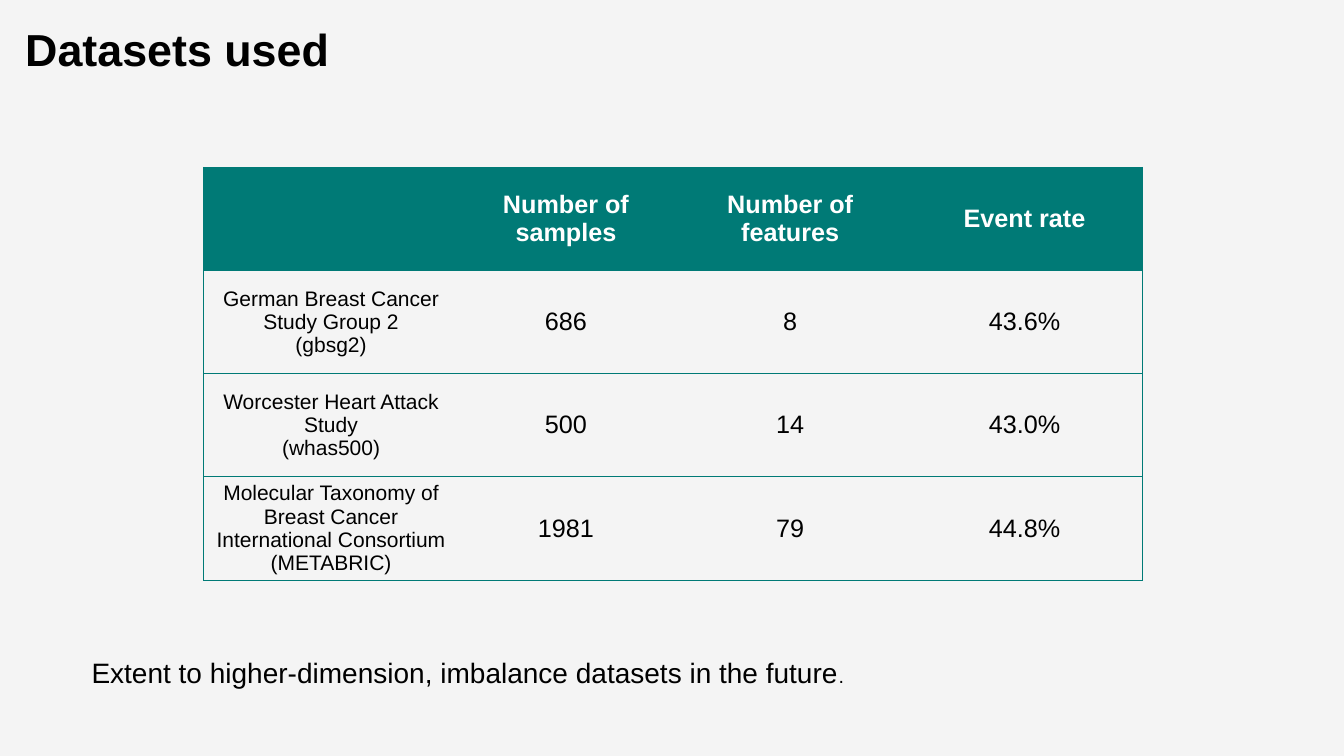
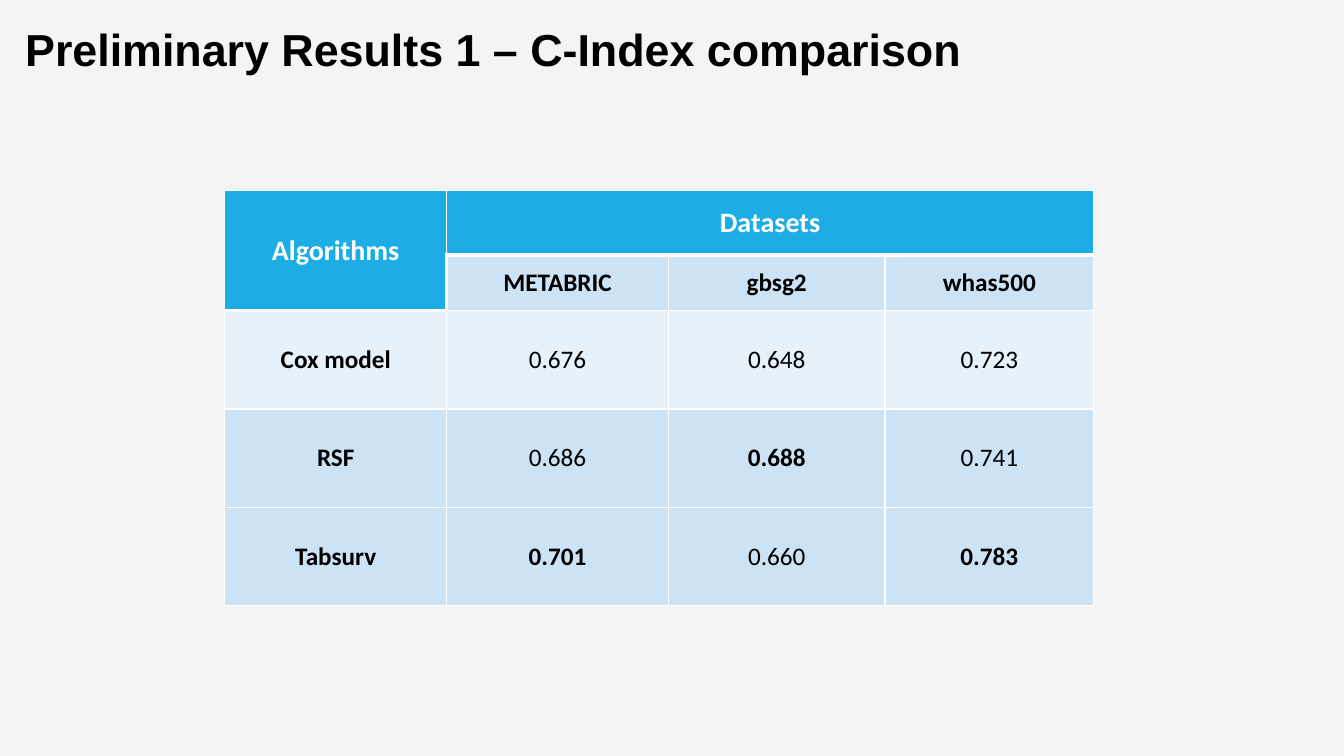
"""Build two slides with a dataset overview and a C-index comparison."""
from collections.abc import Mapping, Sequence
from dataclasses import dataclass

from lxml.etree import SubElement
from pptx import Presentation
from pptx.dml.color import RGBColor
from pptx.enum.text import MSO_ANCHOR as Anchor, MSO_AUTO_SIZE as AutoSize, PP_ALIGN as Align
from pptx.oxml.ns import qn
from pptx.slide import Slide
from pptx.table import Table, _Cell as Cell
from pptx.util import Pt

BACKGROUND = RGBColor(0xF4, 0xF4, 0xF4)
BLACK = RGBColor(0, 0, 0)
WHITE = RGBColor(0xFF, 0xFF, 0xFF)
TEAL = RGBColor(0x00, 0x7A, 0x76)
BLUE = RGBColor(0x1C, 0xAD, 0xE4)
MID_BLUE = RGBColor(0xCC, 0xE3, 0xF5)
PALE_BLUE = RGBColor(0xE7, 0xF1, 0xFA)

TITLE_ONLY = 5
NO_STYLE = "{2D5ABB26-0587-4C30-8999-92F81FD0307C}"
SIDES = {"left": "a:lnL", "right": "a:lnR", "top": "a:lnT", "bottom": "a:lnB"}
THIN, THICK = 1, 3

DATASET_HEADERS = ("", "Number of samples", "Number of features", "Event rate")
DATASETS = (
    ("German Breast Cancer Study Group 2\n(gbsg2)", "686", "8", "43.6%"),
    ("Worcester Heart Attack Study\n(whas500)", "500", "14", "43.0%"),
    ("Molecular Taxonomy of Breast Cancer International Consortium\n(METABRIC)",
     "1981", "79", "44.8%"),
)
RESULT_HEADERS = (
    ("Algorithms", "Datasets", "", ""),
    ("", "METABRIC", "gbsg2", "whas500"),
)
RESULTS = (
    ("Cox model", 0.676, 0.648, 0.723),
    ("RSF", 0.686, 0.688, 0.741),
    ("Tabsurv", 0.701, 0.660, 0.783),
)


@dataclass(frozen=True)
class TextStyle:
    """Font settings of a piece of text."""

    size: float
    name: str = "Arial"
    color: RGBColor = BLACK
    bold: bool = False


@dataclass(frozen=True)
class CellStyle:
    """Text, fill and borders of a table cell."""

    text: TextStyle
    border_color: RGBColor
    borders: Mapping[str, float]
    fill: RGBColor | None = None
    vertical_margin: float = 3.6


@dataclass(frozen=True)
class Grid:
    """Place and measures of a table."""

    left: float
    top: float
    widths: Sequence[float]
    heights: Sequence[float]


TITLE_TEXT = TextStyle(32, bold=True)
DATASET_GRID = Grid(145.4, 119.5, (182.2, 153.4, 167, 167.8), (73.7,) * 4)
RESULT_GRID = Grid(160.6, 136.1, (158.4, 158.4, 154.8, 149), (46.1, 39.6, 70.3, 70.3, 70.3))


def apply_format(target: object, values: Mapping[str, object]) -> None:
    """Set each named attribute on the target."""
    for name, value in values.items():
        setattr(target, name, value)


def format_font(font: object, style: TextStyle) -> None:
    """Give a font the settings of a text style."""
    apply_format(font, {"size": Pt(style.size), "name": style.name, "bold": style.bold})
    font.color.rgb = style.color


def add_titled_slide(presentation: Presentation, title: str) -> Slide:
    """Add a slide with the shared title style."""
    slide = presentation.slides.add_slide(presentation.slide_layouts[TITLE_ONLY])
    shape = slide.shapes.title
    apply_format(shape, {"left": Pt(18), "top": Pt(19.5), "width": Pt(707), "height": Pt(65.5)})
    frame = shape.text_frame
    frame.text = title
    apply_format(frame, {
        "margin_left": 0, "margin_top": 0, "margin_right": 0, "margin_bottom": 0,
        "vertical_anchor": Anchor.TOP, "word_wrap": True, "auto_size": AutoSize.NONE,
    })
    paragraph = frame.paragraphs[0]
    apply_format(paragraph, {"alignment": Align.LEFT, "line_spacing": 0.9})
    format_font(paragraph.runs[0].font, TITLE_TEXT)
    return slide


def add_grid(slide: Slide, grid: Grid) -> Table:
    """Add an unstyled table with the measures of a grid."""
    table = slide.shapes.add_table(
        len(grid.heights), len(grid.widths), Pt(grid.left), Pt(grid.top),
        Pt(sum(grid.widths)), Pt(sum(grid.heights)),
    ).table
    apply_format(table, {"first_row": False, "horz_banding": False})
    table._tbl.tblPr.find(qn("a:tableStyleId")).text = NO_STYLE
    for column, width in zip(table.columns, grid.widths):
        column.width = Pt(width)
    for row, height in zip(table.rows, grid.heights):
        row.height = Pt(height)
    return table


def add_borders(cell: Cell, style: CellStyle) -> None:
    """Draw the borders a cell style names."""
    properties = cell._tc.get_or_add_tcPr()
    for side, tag in SIDES.items():
        if side in style.borders:
            line = SubElement(properties, qn(tag), w=str(Pt(style.borders[side])))
            fill = SubElement(line, qn("a:solidFill"))
            SubElement(fill, qn("a:srgbClr"), val=str(style.border_color))


def fill_cell(cell: Cell, text: str, style: CellStyle) -> None:
    """Write and format a table cell."""
    add_borders(cell, style)
    if style.fill is None:
        cell.fill.background()
    else:
        cell.fill.solid()
        cell.fill.fore_color.rgb = style.fill
    apply_format(cell, {
        "margin_top": Pt(style.vertical_margin), "margin_bottom": Pt(style.vertical_margin),
        "vertical_anchor": Anchor.MIDDLE,
    })
    if not text:
        return
    cell.text_frame.text = text
    for paragraph in cell.text_frame.paragraphs:
        paragraph.alignment = Align.CENTER
        format_font(paragraph.runs[0].font, style.text)


def dataset_style(row: int, column: int) -> CellStyle:
    """Return the style of a cell in the dataset table."""
    sides = ["top", "bottom"]
    if column == 0:
        sides.append("left")
    if column == len(DATASET_HEADERS) - 1:
        sides.append("right")
    borders = dict.fromkeys(sides, 0.75)
    if row == 0:
        return CellStyle(TextStyle(18, color=WHITE, bold=True), TEAL, borders, TEAL)
    return CellStyle(TextStyle(18 if column else 15), TEAL, borders)


def result_style(row: int, column: int, best: bool) -> CellStyle:
    """Return the style of a cell in the result table."""
    borders = dict.fromkeys(SIDES, THIN)
    if (row == 0 and column) or (row, column) == (1, 0):
        borders["bottom"] = THICK
    if (row == 1 and column) or (row, column) == (2, 0):
        borders["top"] = THICK
    if (row, column) == (1, 1):
        borders["left"] = THICK
    if (row, column) == (1, 0):
        borders["right"] = THICK
    if row == 0 or (row, column) == (1, 0):
        text, fill = TextStyle(20, "Calibri", WHITE, True), BLUE
    else:
        text = TextStyle(18, "Calibri", bold=row == 1 or column == 0 or best)
        fill = PALE_BLUE if row == 2 else MID_BLUE
    return CellStyle(text, WHITE, borders, fill, 4.3)


def add_note(slide: Slide) -> None:
    """Add the outlook line below the dataset table."""
    frame = slide.shapes.add_textbox(Pt(58.3), Pt(464.4), Pt(556), Pt(31.7)).text_frame
    apply_format(frame, {"word_wrap": False, "auto_size": AutoSize.SHAPE_TO_FIT_TEXT})
    sentence = "Extent to higher-dimension, imbalance datasets in the future"
    for text, size in ((sentence, 20), (".", 14)):
        run = frame.paragraphs[0].add_run()
        run.text = text
        format_font(run.font, TextStyle(size))


def build_datasets(presentation: Presentation) -> None:
    """Build the slide that lists the datasets."""
    slide = add_titled_slide(presentation, "Datasets used")
    table = add_grid(slide, DATASET_GRID)
    for row, texts in enumerate((DATASET_HEADERS, *DATASETS)):
        for column, text in enumerate(texts):
            fill_cell(table.cell(row, column), text, dataset_style(row, column))
    add_note(slide)


def build_results(presentation: Presentation) -> None:
    """Build the slide that compares the algorithms."""
    slide = add_titled_slide(presentation, "Preliminary Results 1 – C-Index comparison")
    table = add_grid(slide, RESULT_GRID)
    table.cell(0, 0).merge(table.cell(1, 0))
    table.cell(0, 1).merge(table.cell(0, 3))
    best = [max(values) for values in zip(*RESULTS)]
    for row, values in enumerate((*RESULT_HEADERS, *RESULTS)):
        for column, value in enumerate(values):
            text = value if isinstance(value, str) else f"{value:.3f}"
            style = result_style(row, column, value == best[column])
            fill_cell(table.cell(row, column), text, style)


def main() -> None:
    """Build and save the presentation."""
    presentation = Presentation()
    apply_format(presentation, {"slide_width": Pt(960), "slide_height": Pt(540)})
    background = presentation.slide_master.background.fill
    background.solid()
    background.fore_color.rgb = BACKGROUND
    build_datasets(presentation)
    build_results(presentation)
    presentation.save("out.pptx")


if __name__ == "__main__":
    main()
